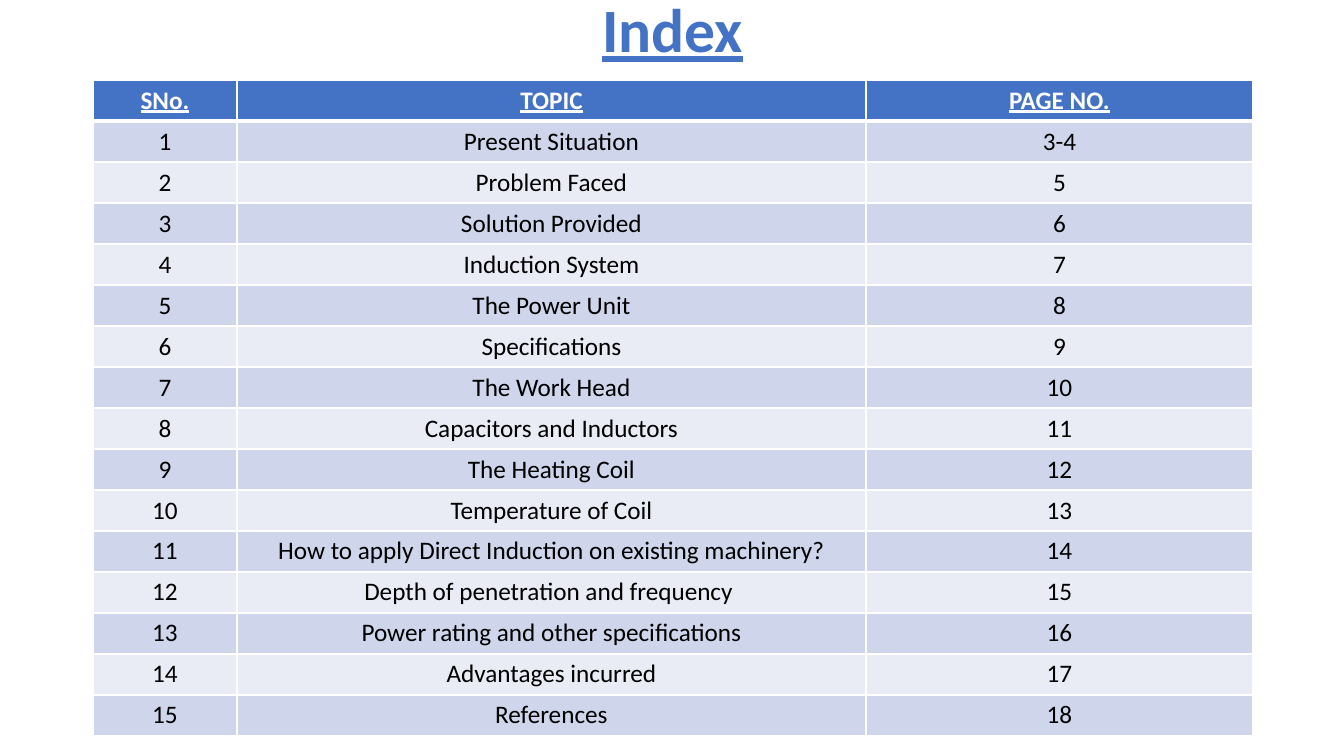
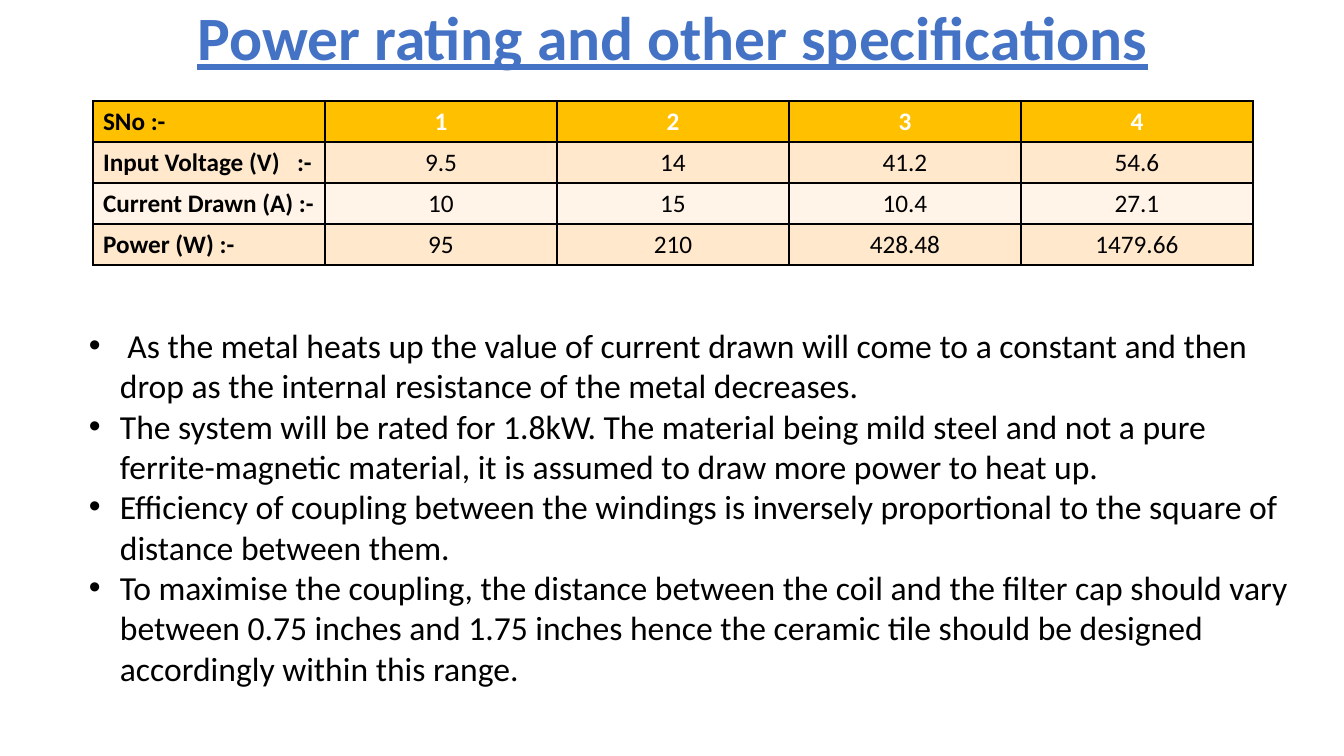
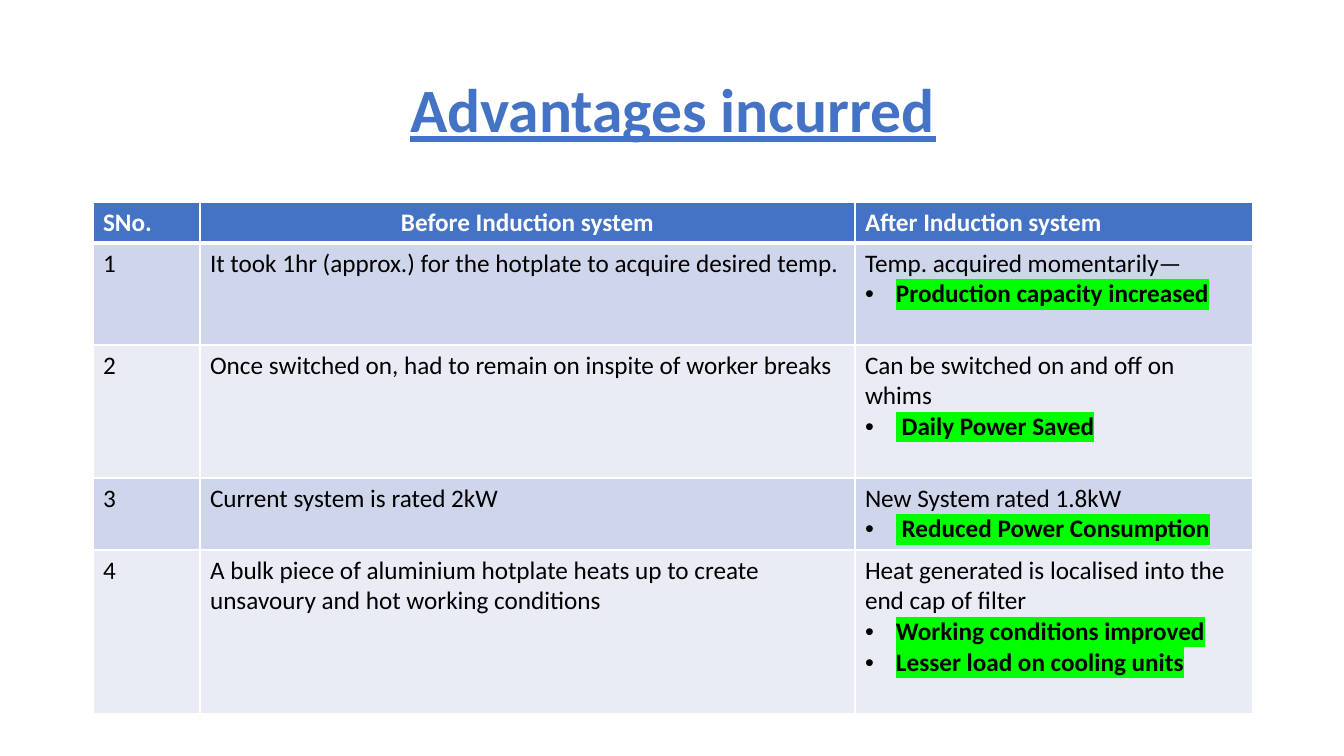
from pptx import Presentation
from pptx.dml.color import RGBColor
from pptx.enum.text import MSO_ANCHOR as ANCHOR, PP_ALIGN as ALIGN
from pptx.oxml.ns import qn
from pptx.util import Pt
from lxml.etree import SubElement, Element

EMU_PER_PX = 914400 / 100.8
FONT = "Calibri"
LEFT, WIDTH, ROW, INDENT, LABEL_TAB = 93, 1160, 41, 31, 194
C = {
    "blue": "4472C4", "blue_dark": "CFD5EA", "blue_light": "E9EBF5",
    "gold": "FFC000", "gold_dark": "FFE8CC", "gold_light": "FFF4E7",
    "white": "FFFFFF", "black": "000000", "marker": "00FF00",
}
BLUE = {"head": "blue", "bands": ("blue_dark", "blue_light"),
        "line": "white", "head_line": 3}
GOLD = {"head": "gold", "bands": ("gold_dark", "gold_light"),
        "line": "black", "head_line": 1}

TOPICS = [
    ("Present Situation", "3-4"),
    ("Problem Faced", "5"),
    ("Solution Provided", "6"),
    ("Induction System", "7"),
    ("The Power Unit", "8"),
    ("Specifications", "9"),
    ("The Work Head", "10"),
    ("Capacitors and Inductors", "11"),
    ("The Heating Coil", "12"),
    ("Temperature of Coil", "13"),
    ("How to apply Direct Induction on existing machinery?", "14"),
    ("Depth of penetration and frequency ", "15"),
    ("Power rating and other specifications", "16"),
    ("Advantages incurred", "17"),
    ("References", "18"),
]
INDEX = [("SNo.", "TOPIC", "PAGE NO.")] + [
    (str(n), topic, page) for n, (topic, page) in enumerate(TOPICS, 1)]

RATINGS = [
    ("SNo :-", "1", "2", "3", "4"),
    ("Input Voltage (V)\t:-", "9.5", "14", "41.2", "54.6"),
    ("Current Drawn (A) :-", "10", "15", "10.4", "27.1"),
    ("Power (W) :-", "95", "210", "428.48", "1479.66"),
]
RATING_NOTES = [
    " As the metal heats up the value of current drawn will come to a constant "
    "and then drop as the internal resistance of the metal decreases.",
    "The system will be rated for 1.8kW. The material being mild steel and not "
    "a pure ferrite-magnetic material, it is assumed to draw more power to heat up.",
    "Efficiency of coupling between the windings is inversely proportional to "
    "the square of distance between them.",
    "To maximise the coupling, the distance between the coil and the filter cap "
    "should vary between 0.75 inches and 1.75 inches hence the ceramic tile "
    "should be designed accordingly within this range.",
]

ADVANTAGES = [
    ("SNo.", "Before Induction system", "After Induction system"),
    ("1", "It took 1hr (approx.) for the hotplate to acquire desired temp.",
     ("Temp. acquired momentarily—", "Production capacity increased")),
    ("2", "Once switched on, had to remain on inspite of worker breaks",
     ("Can be switched on and off on whims", " Daily Power Saved")),
    ("3", "Current system is rated 2kW",
     ("New System rated 1.8kW", " Reduced Power Consumption")),
    ("4", "A bulk piece of aluminium hotplate heats up to create unsavoury "
          "and hot working conditions",
     ("Heat generated is localised into the end cap of filter",
      "Working conditions improved", "Lesser load on cooling units")),
]
ADVANTAGE_ROWS = [ROW, 102, 133, 72, 164]


def px(n):
    return round(n * EMU_PER_PX)


def add_text(tf, text, first=False, size=18, color="black", bold=False,
             underline=False, align=ALIGN.LEFT, bullet=False, mark=None,
             spacing=None):
    p = tf.paragraphs[0] if first else tf.add_paragraph()
    pPr = p._p.get_or_add_pPr()
    if bullet:
        pPr.set("marL", str(px(INDENT)))
        pPr.set("indent", str(-px(INDENT)))
        SubElement(pPr, qn("a:buFont"), typeface="Arial")
        SubElement(pPr, qn("a:buChar"), char="•")
    if "\t" in text:
        tabs = SubElement(pPr, qn("a:tabLst"))
        SubElement(tabs, qn("a:tab"), pos=str(px(LABEL_TAB)), algn="l")
    p.alignment = align
    if spacing:
        p.line_spacing = spacing
    r = p.add_run()
    r.text = text
    r.font.size, r.font.name = Pt(size), FONT
    r.font.bold, r.font.underline = bold, underline
    r.font.color.rgb = RGBColor.from_string(C[color])
    if mark:
        highlight = Element(qn("a:highlight"))
        SubElement(highlight, qn("a:srgbClr"), val=C[mark])
        r._r.rPr.find(qn("a:solidFill")).addnext(highlight)


def add_box(s, left, top, width, height):
    tf = s.shapes.add_textbox(px(left), px(top), px(width), px(height)).text_frame
    tf.word_wrap = True
    return tf


def add_titled_slide(prs, title, top, height=146):
    s = prs.slides.add_slide(prs.slide_layouts[6])
    tf = add_box(s, LEFT, top, WIDTH, height)
    tf.vertical_anchor = ANCHOR.MIDDLE
    add_text(tf, title, first=True, size=44, color="blue", bold=True,
             underline=True, align=ALIGN.CENTER, spacing=0.9)
    return s


def set_borders(cell, color, top=1, bottom=1):
    tcPr = cell._tc.get_or_add_tcPr()
    for side, width in (("L", 1), ("R", 1), ("T", top), ("B", bottom)):
        ln = SubElement(tcPr, qn(f"a:ln{side}"), w=str(Pt(width)))
        fill = SubElement(ln, qn("a:solidFill"))
        SubElement(fill, qn("a:srgbClr"), val=C[color])


def add_grid(s, top, rows, columns, heights, theme, centred, head_centred,
             head_underline=False, label_column=False):
    table = s.shapes.add_table(len(rows), len(columns), px(LEFT), px(top),
                               px(sum(columns)), px(sum(heights))).table
    for column, width in zip(table.columns, columns):
        column.width = px(width)
    for i, (row, height) in enumerate(zip(rows, heights)):
        table.rows[i].height = px(height)
        head = i == 0
        for j, content in enumerate(row):
            cell = table.cell(i, j)
            set_borders(cell, theme["line"],
                        top=theme["head_line"] if i == 1 else 1,
                        bottom=theme["head_line"] if head else 1)
            fill = theme["head"] if head else theme["bands"][(i - 1) % 2]
            cell.fill.solid()
            cell.fill.fore_color.rgb = RGBColor.from_string(C[fill])
            label = label_column and j == 0
            main, *gains = [content] if isinstance(content, str) else content
            middle = j in (head_centred if head else centred)
            add_text(cell.text_frame, main, first=True, bold=head or label,
                     color="white" if head and not label else "black",
                     underline=head and head_underline,
                     align=ALIGN.CENTER if middle else ALIGN.LEFT)
            for gain in gains:
                add_text(cell.text_frame, gain, bold=True, bullet=True, mark="marker")


def main():
    prs = Presentation()
    prs.slide_width, prs.slide_height = px(1344), px(756)

    s = add_titled_slide(prs, "Index", 0, 66)
    add_grid(s, 80, INDEX, [144, 629, 387], [ROW] * len(INDEX), BLUE,
             centred=range(3), head_centred=range(3), head_underline=True)

    s = add_titled_slide(prs, "Power rating and other specifications", -32)
    add_grid(s, 101, RATINGS, [WIDTH // 5] * 5, [ROW] * len(RATINGS), GOLD,
             centred=range(1, 5), head_centred=range(1, 5), label_column=True)
    tf = add_box(s, 79, 320, 1227, 407)
    for i, note in enumerate(RATING_NOTES):
        add_text(tf, note, first=i == 0, size=24, bullet=True)

    s = add_titled_slide(prs, "Advantages incurred", 40)
    add_grid(s, 202, ADVANTAGES, [107, 655, 398], ADVANTAGE_ROWS, BLUE,
             centred=(), head_centred=(1,))

    prs.save("out.pptx")


if __name__ == "__main__":
    main()
